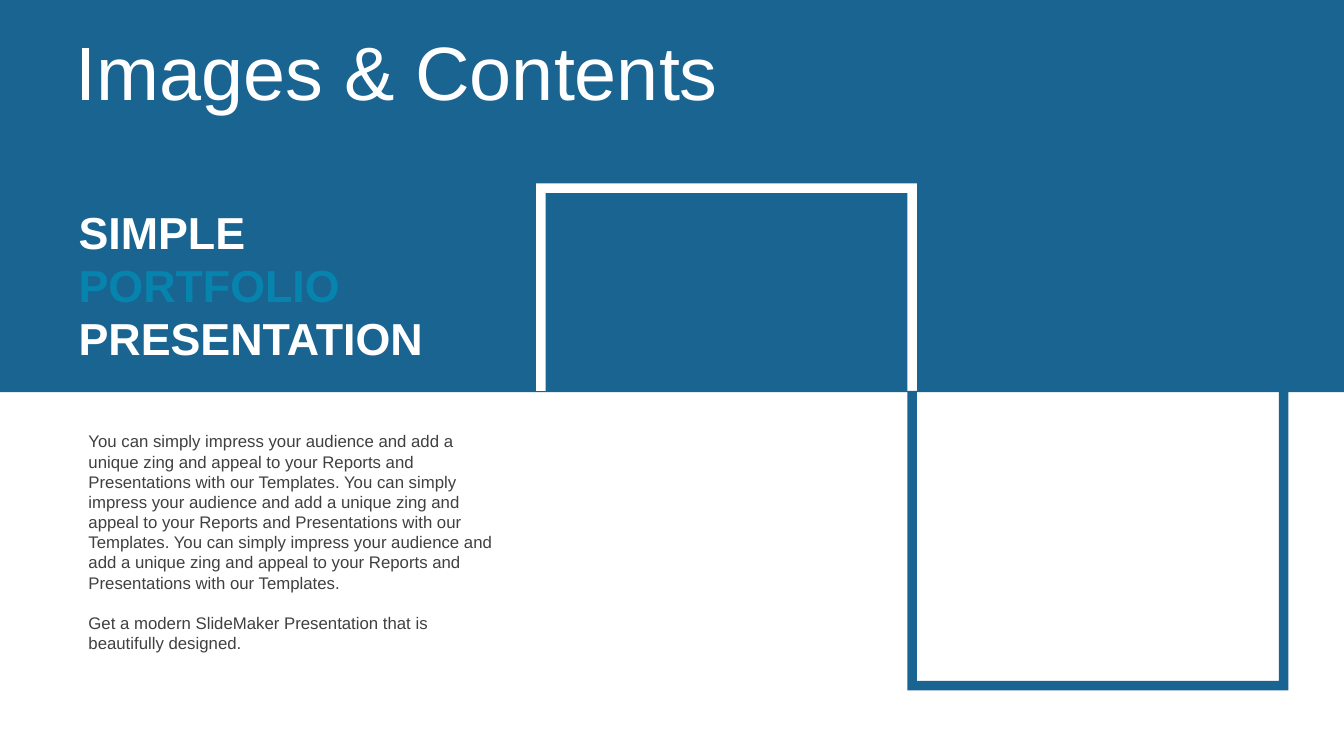
from pptx import Presentation
from pptx.dml.color import RGBColor
from pptx.enum.shapes import MSO_SHAPE
from pptx.enum.text import MSO_ANCHOR, MSO_AUTO_SIZE
from pptx.util import Cm, Pt

BLUE = RGBColor(0x19, 0x64, 0x91)
CYAN = RGBColor(0x06, 0x84, 0xAE)
WHITE = RGBColor(0xFF, 0xFF, 0xFF)
DARK_GRAY = RGBColor(0x40, 0x40, 0x40)

SLIDE_WIDTH, SLIDE_HEIGHT = Cm(33.87), Cm(19.05)
BAND_HEIGHT = Cm(9.88)
FRAME_WIDTH, FRAME_BAR = Cm(9.6), Cm(0.24)
LINE_HEIGHT = Pt(14.4)

HEADING = [("SIMPLE", WHITE), ("PORTFOLIO", CYAN), ("PRESENTATION", WHITE)]
SENTENCE = ("You can simply impress your audience and add a unique zing and appeal "
            "to your Reports and Presentations with our Templates.")
BODY = [" ".join([SENTENCE] * 3),
        "Get a modern SlideMaker Presentation that is beautifully designed."]


def paint(shape, color):
    shape.shadow.inherit = False
    shape.fill.solid()
    shape.fill.fore_color.rgb = color
    shape.line.fill.background()


def add_text(slide, box, texts, size, color, bold=False, anchor=MSO_ANCHOR.MIDDLE):
    """Add a wrapping text box with one paragraph per text and return its frame."""
    frame = slide.shapes.add_textbox(*box).text_frame
    frame.word_wrap = True
    frame.auto_size = MSO_AUTO_SIZE.NONE
    frame.vertical_anchor = anchor
    for index, text in enumerate(texts):
        paragraph = frame.paragraphs[0] if index == 0 else frame.add_paragraph()
        paragraph.text = text
        font = paragraph.font
        font.name, font.size, font.bold = "Arial", Pt(size), bold
        font.color.rgb = color
    return frame


def add_band(slide, left, top, width, height):
    paint(slide.shapes.add_shape(MSO_SHAPE.RECTANGLE, left, top, width, height), BLUE)


def add_title(slide, left, top, width, height):
    frame = add_text(slide, (left, top, width, height), ["Images & Contents"], 54, WHITE)
    frame.paragraphs[0].line_spacing = 0.9


def add_heading(slide, left, top, width, height):
    """Stack the heading words in equal rows."""
    row_height = height // len(HEADING)
    for row, (word, color) in enumerate(HEADING):
        box = left, top + row * row_height, width, row_height
        frame = add_text(slide, box, [word], 32, color, bold=True)
        frame.margin_left = 0


def add_body(slide, left, top, width, height):
    frame = add_text(slide, (left, top, width, height), BODY, 12, DARK_GRAY,
                     anchor=MSO_ANCHOR.TOP)
    for paragraph in frame.paragraphs:
        paragraph.line_spacing = LINE_HEIGHT
    frame.paragraphs[-1].space_before = LINE_HEIGHT


def add_open_frame(slide, left, open_edge, closed_edge, color):
    """Draw a three-sided frame between its open and closed horizontal edges."""
    right = left + FRAME_WIDTH
    inner_left, inner_right = left + FRAME_BAR, right - FRAME_BAR
    inner_edge = closed_edge + (FRAME_BAR if closed_edge < open_edge else -FRAME_BAR)
    builder = slide.shapes.build_freeform(left, open_edge)
    builder.add_line_segments([
        (left, closed_edge), (right, closed_edge), (right, open_edge),
        (inner_right, open_edge), (inner_right, inner_edge),
        (inner_left, inner_edge), (inner_left, open_edge),
    ], close=True)
    paint(builder.convert_to_shape(), color)


def add_frame_pair(slide, left, top, bottom, middle):
    add_open_frame(slide, left, middle, top, WHITE)
    add_open_frame(slide, left + FRAME_WIDTH - FRAME_BAR, middle, bottom, BLUE)


def main():
    presentation = Presentation()
    presentation.slide_width, presentation.slide_height = SLIDE_WIDTH, SLIDE_HEIGHT
    slide = presentation.slides.add_slide(presentation.slide_layouts[6])
    add_band(slide, 0, 0, SLIDE_WIDTH, BAND_HEIGHT)
    add_heading(slide, Cm(1.98), Cm(5.16), Cm(9.5), Cm(4.02))
    add_body(slide, Cm(1.98), Cm(10.74), Cm(10.8), Cm(5.9))
    add_title(slide, Cm(1.65), Cm(0.91), Cm(27.5), Cm(2))
    add_frame_pair(slide, Cm(13.51), Cm(4.62), Cm(17.4), Cm(9.85))
    presentation.save("out.pptx")


if __name__ == "__main__":
    main()
